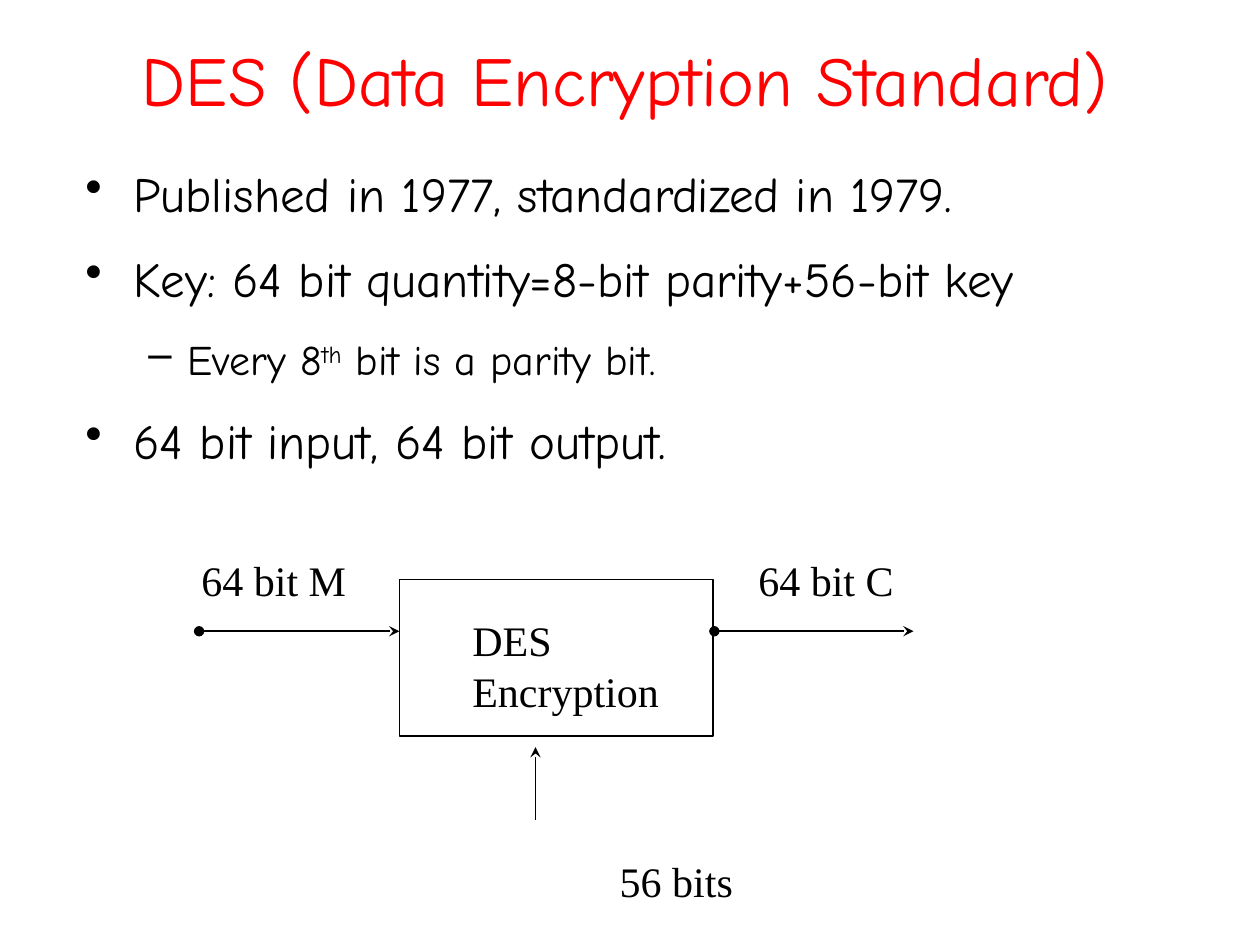
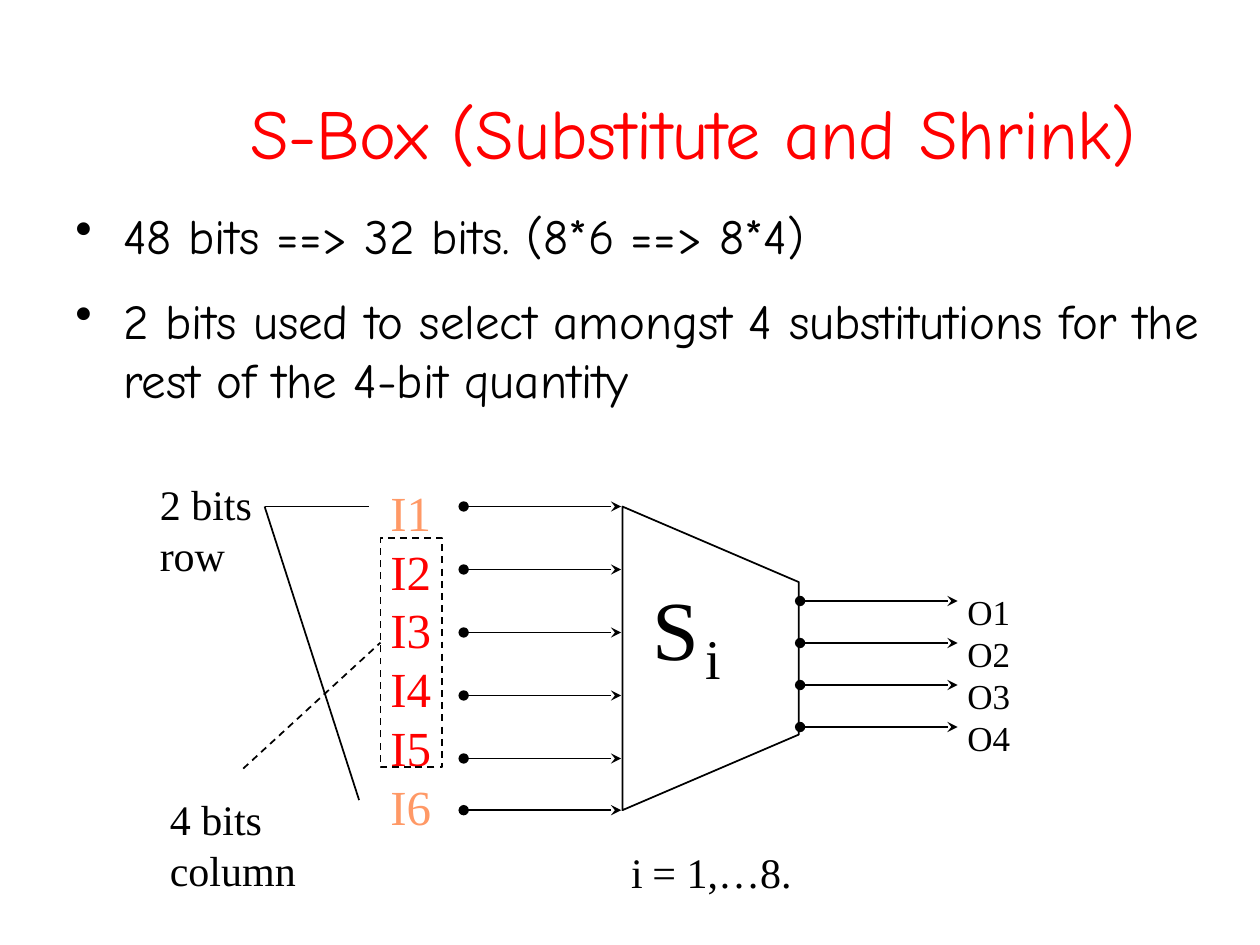
from lxml.etree import SubElement
from pptx import Presentation
from pptx.dml.color import RGBColor
from pptx.enum.dml import MSO_LINE
from pptx.enum.shapes import MSO_CONNECTOR as CONNECTOR, MSO_SHAPE as SHAPE
from pptx.enum.text import MSO_ANCHOR as ANCHOR, PP_ALIGN as ALIGN
from pptx.oxml.ns import qn
from pptx.util import Inches, Pt

COLORS = {"title": "FF0000", "ink": "000000", "row": "FF9966", "column": "FF0000"}
HAND, SERIF = "Comic Neue", "Times New Roman"
LEADING = 1.2
BULLETS = [("•", 0.38, 0.38, 28), ("–", 0.81, 0.31, 24)]

DES = {
    "title": ("DES (Data Encryption Standard)", (0.25, 0.08, 9.42, 1.08)),
    "points": [
        (0, ["Published in 1977, standardized in 1979."]),
        (0, ["Key: 64 bit quantity=8-bit parity+56-bit key"]),
        (1, ["Every 8", "^th", " bit is a parity bit."]),
        (0, ["64 bit input, 64 bit output."]),
    ],
    "points_box": (0.58, 1.25, 8.8, 6.08),
    "labels": [
        (["DES", "Encryption"], (3.65, 4.83, 1.68, 0.9), 24),
        (["64 bit M"], (1.5, 4.35, 1.35, 0.5), 24),
        (["64 bit C"], (5.92, 4.35, 1.28, 0.5), 24),
        (["56 bits"], (4.82, 6.74, 1.1, 0.5), 24),
    ],
}
SBOX = {
    "title": ("S-Box (Substitute and Shrink)", (1.25, 0.42, 8.5, 1.25)),
    "points": [
        (0, ["48 bits ==> 32 bits. (8*6 ==> 8*4)"]),
        (0, ["2 bits used to select amongst 4 substitutions for the rest of the 4-bit quantity"]),
    ],
    "points_box": (0.5, 1.58, 9.17, 4.42),
    "labels": [
        (["2 bits", "row"], (1.17, 3.75, 0.93, 0.9), 24),
        (["4 bits", "column"], (1.25, 6.25, 1.2, 0.9), 24),
        (["S"], (5.08, 4.53, 0.57, 0.9), 48),
        (["i"], (5.5, 4.9, 0.33, 0.63), 32),
        (["i"], (4.91, 6.67, 0.29, 0.5), 24),
        (["= 1,…8."], (5.08, 6.67, 1.31, 0.5), 24),
        ([f"O{n}" for n in range(1, 5)], (7.58, 4.64, 0.54, 1.44), 20),
    ],
}
INPUT_BITS = [(f"I{n}", "row" if n in (1, 6) else "column") for n in range(1, 7)]
INPUT_ROWS = [4.02 + 0.5 * n for n in range(5)] + [6.43]
OUTPUT_ROWS = [4.77 + n / 3 for n in range(4)]
TRAPEZOID = [(4.94, 4.02), (6.34, 4.62), (6.34, 5.83), (4.94, 6.43)]


def rgb(name):
    return RGBColor.from_string(COLORS[name])


def style(paragraph, face, size, color="ink"):
    paragraph.line_spacing = Pt(LEADING * size)
    font = paragraph.font
    font.name, font.size, font.color.rgb = face, Pt(size), rgb(color)


def add_frame(slide, box, wrap=True):
    frame = slide.shapes.add_textbox(*map(Inches, box)).text_frame
    frame.word_wrap = wrap
    return frame


def add_paragraphs(frame, items):
    for index, item in enumerate(items):
        yield item, frame.add_paragraph() if index else frame.paragraphs[0]


def space(paragraph):
    paragraph.space_before, paragraph.space_after = Pt(12), Pt(3)


def add_title(slide, text, box):
    frame = add_frame(slide, box)
    frame.vertical_anchor = ANCHOR.MIDDLE
    heading = frame.paragraphs[0]
    heading.text, heading.alignment = text, ALIGN.CENTER
    space(heading)
    style(heading, HAND, 40, "title")


def add_points(slide, points, box):
    for (level, parts), point in add_paragraphs(add_frame(slide, box), points):
        mark, margin, hanging, size = BULLETS[level]
        point.level = level
        space(point)
        style(point, HAND, size)
        props = point._p.get_or_add_pPr()
        props.set("marL", str(Inches(margin)))
        props.set("indent", str(-Inches(hanging)))
        bullet = SubElement(props, qn("a:buChar"))
        bullet.set("char", mark)
        props.find(qn("a:defRPr")).addprevious(bullet)
        for part in parts:
            run = point.add_run()
            run.text = part.lstrip("^")
            if part.startswith("^"):
                run._r.get_or_add_rPr().set("baseline", "30000")


def add_label(slide, lines, box, size):
    colored = [line if isinstance(line, tuple) else (line, "ink") for line in lines]
    for (text, color), paragraph in add_paragraphs(add_frame(slide, box, False), colored):
        paragraph.text = text
        style(paragraph, SERIF, size, color)


def ink(line, dashed=False):
    line.color.rgb, line.width = rgb("ink"), Pt(1)
    if dashed:
        line.dash_style = MSO_LINE.DASH


def outline(shape, dashed=False):
    shape.shadow.inherit = False
    shape.fill.background()
    ink(shape.line, dashed)


def add_box(slide, box, dashed=False):
    outline(slide.shapes.add_shape(SHAPE.RECTANGLE, *map(Inches, box)), dashed)


def add_line(slide, start, end, head=None, tail=None, dashed=False):
    link = slide.shapes.add_connector(CONNECTOR.STRAIGHT, *map(Inches, start + end))
    ink(link.line, dashed)
    for tag, kind in (("a:headEnd", head), ("a:tailEnd", tail)):
        if kind:
            SubElement(link.get_or_add_ln(), qn(tag)).set("type", kind)
    SubElement(link._element.spPr, qn("a:effectLst"))


def add_wire(slide, left, right, y):
    add_line(slide, (left, y), (right, y), "oval", "stealth")


def add_slide(deck, content):
    slide = deck.slides.add_slide(deck.slide_layouts[6])
    add_title(slide, *content["title"])
    add_points(slide, content["points"], content["points_box"])
    for label in content["labels"]:
        add_label(slide, *label)
    return slide


def draw_des(slide):
    add_box(slide, (3.17, 4.6, 2.49, 1.24))
    add_wire(slide, 1.58, 3.17, 5.01)
    add_wire(slide, 5.67, 7.25, 5.01)
    add_line(slide, (4.25, 6.51), (4.25, 5.93), tail="stealth")


def draw_sbox(slide):
    corners = [(Inches(x), Inches(y)) for x, y in TRAPEZOID]
    builder = slide.shapes.build_freeform(*corners[0])
    builder.add_line_segments(corners[1:], close=True)
    outline(builder.convert_to_shape())
    for y in INPUT_ROWS:
        add_wire(slide, 3.68, 4.93, y)
    for y in OUTPUT_ROWS:
        add_wire(slide, 6.35, 7.6, y)
    add_label(slide, INPUT_BITS, (3, 3.78, 0.53, 2.9), 28)
    add_box(slide, (3.02, 4.27, 0.49, 1.82), dashed=True)
    for row_bit in ((2.93, 4.02), (2.85, 6.35)):
        add_line(slide, (2.1, 4.02), row_bit)
    add_line(slide, (1.93, 6.1), (3.02, 5.1), dashed=True)


def main():
    deck = Presentation()
    deck.slide_width, deck.slide_height = Inches(10), Inches(7.5)
    draw_des(add_slide(deck, DES))
    draw_sbox(add_slide(deck, SBOX))
    deck.save("out.pptx")


if __name__ == "__main__":
    main()
